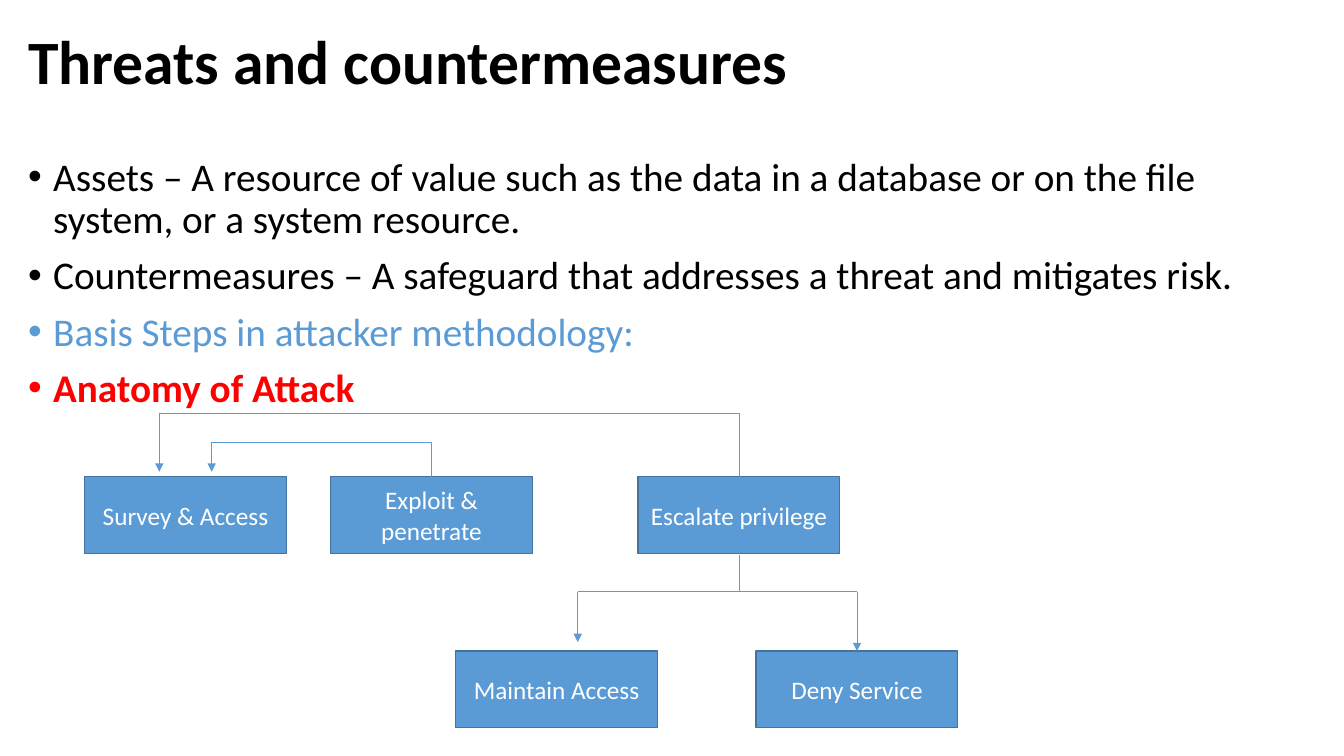
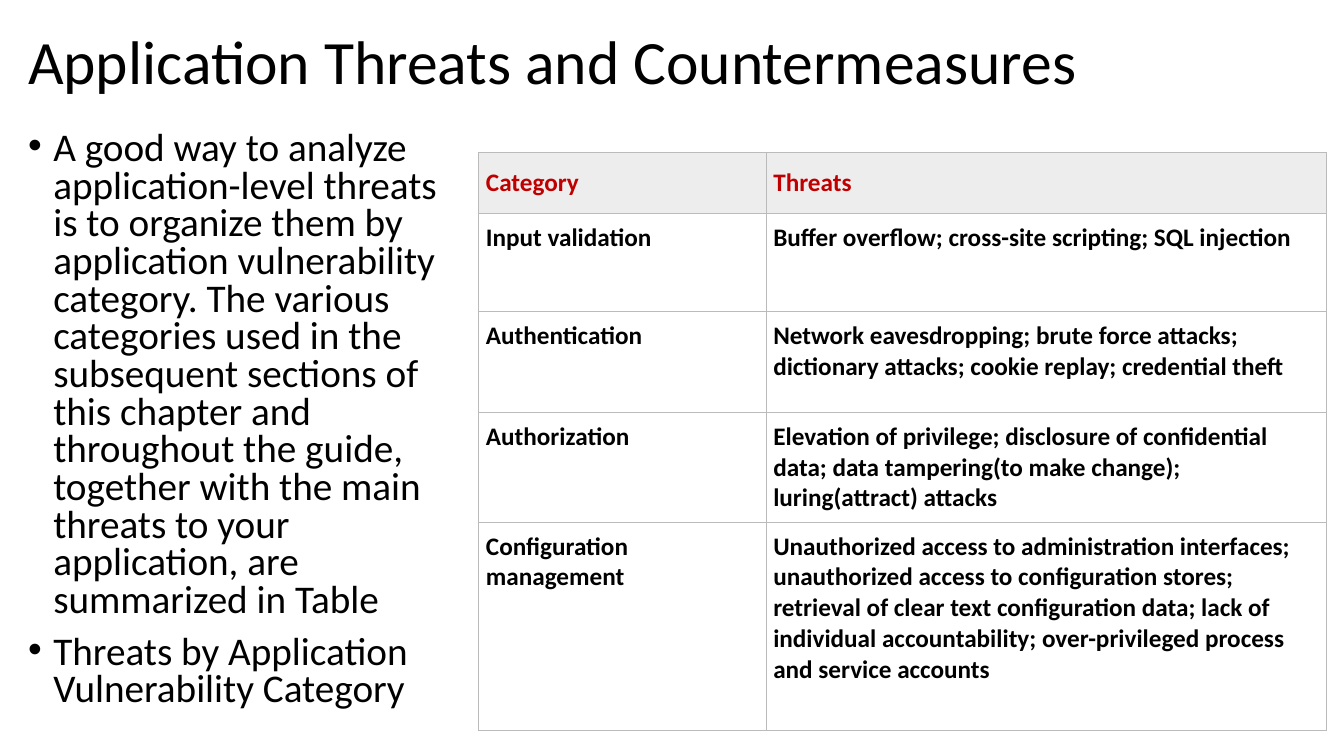
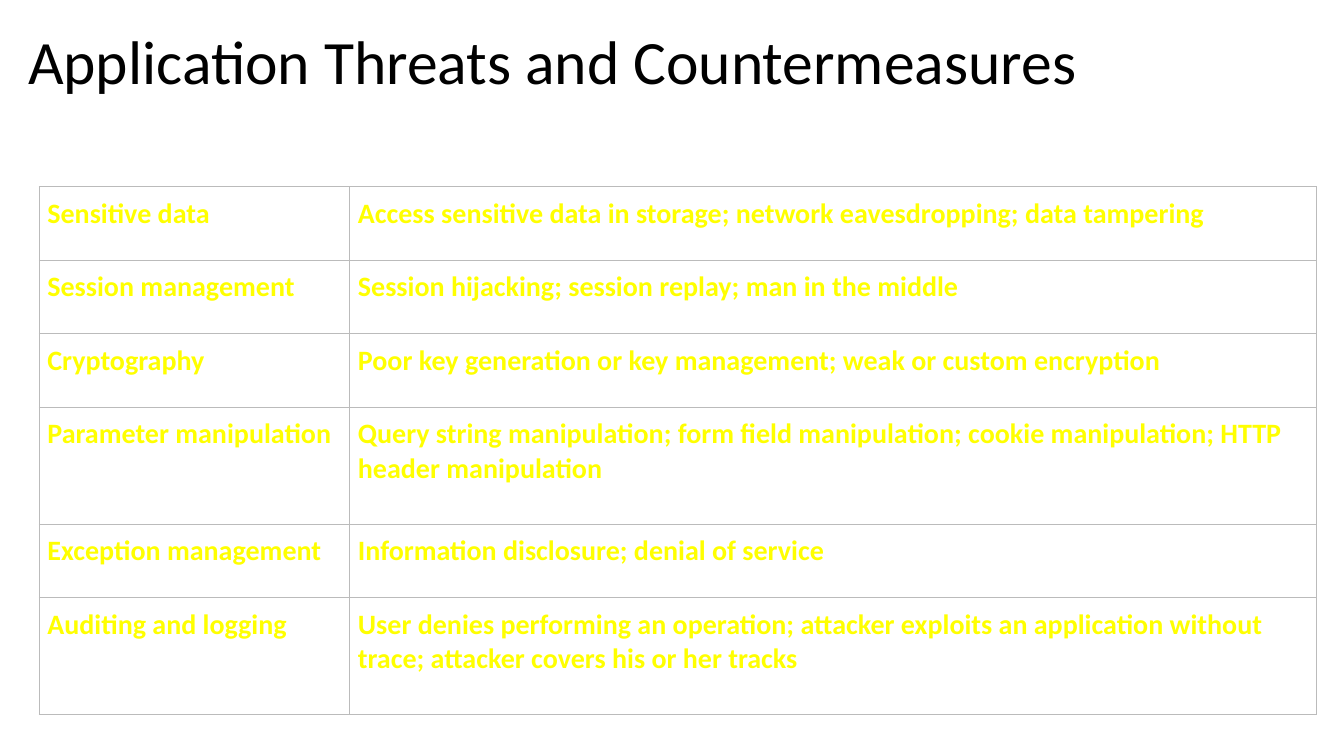
from lxml import etree
from pptx import Presentation
from pptx.dml.color import RGBColor
from pptx.enum.shapes import MSO_CONNECTOR, MSO_SHAPE
from pptx.enum.text import MSO_ANCHOR, PP_ALIGN
from pptx.oxml.ns import qn
from pptx.util import Inches, Pt

TOP, MIDDLE = MSO_ANCHOR.TOP, MSO_ANCHOR.MIDDLE
LEFT, CENTER = PP_ALIGN.LEFT, PP_ALIGN.CENTER
STRAIGHT, ELBOW = MSO_CONNECTOR.STRAIGHT, MSO_CONNECTOR.ELBOW
RECT = MSO_SHAPE.RECTANGLE

FONT = "Calibri"
BLACK = RGBColor(0x00, 0x00, 0x00)
WHITE = RGBColor(0xFF, 0xFF, 0xFF)
BLUE = RGBColor(0x5B, 0x9B, 0xD5)
DARK_BLUE = RGBColor(0x43, 0x73, 0x9E)
RED = RGBColor(0xFF, 0x00, 0x00)
DARK_RED = RGBColor(0xC0, 0x00, 0x00)
YELLOW = RGBColor(0xFF, 0xFF, 0x00)
PALE_GREY = RGBColor(0xED, 0xED, 0xED)
BORDER_GREY = RGBColor(0xBB, 0xBB, 0xBB)

# Content
ATTACK_TITLE = "Threats and countermeasures"
THREATS_TITLE = "Application Threats and Countermeasures"

ATTACK_POINTS = [
    ("Assets – A resource of value such as the data in a database or on the "
     "file system, or a system resource.", {}),
    ("Countermeasures – A safeguard that addresses a threat and mitigates "
     "risk.", {}),
    ("Basis Steps in attacker methodology:", {"color": BLUE}),
    ("Anatomy of Attack", {"color": RED, "bold": True}),
]
THREAT_POINTS = [
    ("A good way to analyze application-level threats is to organize them by "
     "application vulnerability category. The various categories used in the "
     "subsequent sections of this chapter and throughout the guide, together "
     "with the main threats to your application, are summarized in Table", {}),
    ("Threats by Application Vulnerability Category", {}),
]

BOX_W, BOX_H = 2, 0.76
STEP_TOP, RESULT_TOP = 4.73, 6.46
STEPS = [  # name, left, top
    ("Survey & Access", 0.84, STEP_TOP),
    ("Exploit & penetrate", 3.28, STEP_TOP),
    ("Escalate privilege", 6.33, STEP_TOP),
    ("Maintain Access", 4.52, RESULT_TOP),
    ("Deny Service", 7.5, RESULT_TOP),
]
RETURNS = [  # step it leaves, x and y of its far end
    ("Exploit & penetrate", 2.1, 4.39),
    ("Escalate privilege", 1.58, 4.1),
]
RETURN_TIP = 4.68
BRANCH_Y = 5.87
BRANCH_LINES = [  # start, end, arrowhead
    ((7.33, 5.51), (7.33, BRANCH_Y), False),
    ((5.73, BRANCH_Y), (8.5, BRANCH_Y), False),
    ((8.5, BRANCH_Y), (8.5, RESULT_TOP), True),
    ((5.73, BRANCH_Y), (5.73, 6.37), True),
]

CATEGORY_ROWS = [
    ("Category", "Threats"),
    ("Input validation",
     "Buffer overflow; cross-site scripting; SQL injection"),
    ("Authentication",
     "Network eavesdropping; brute force attacks; dictionary attacks; cookie "
     "replay; credential theft"),
    ("Authorization",
     "Elevation of privilege; disclosure of confidential data; data "
     "tampering(to make change); luring(attract) attacks"),
    ("Configuration management",
     "Unauthorized access to administration interfaces; unauthorized access "
     "to configuration stores; retrieval of clear text configuration data; "
     "lack of individual accountability; over-privileged process and service "
     "accounts"),
]
MORE_ROWS = [
    ("Sensitive data",
     "Access sensitive data in storage; network eavesdropping; data tampering"),
    ("Session management",
     "Session hijacking; session replay; man in the middle"),
    ("Cryptography",
     "Poor key generation or key management; weak or custom encryption"),
    ("Parameter manipulation",
     "Query string manipulation; form field manipulation; cookie "
     "manipulation; HTTP header manipulation"),
    ("Exception management", "Information disclosure; denial of service"),
    ("Auditing and logging",
     "User denies performing an operation; attacker exploits an application "
     "without trace; attacker covers his or her tracks"),
]


def write(p, text, size=18, color=BLACK, bold=False, align=LEFT, spacing=None):
    """Put one formatted run into a paragraph."""
    p.alignment = align
    if spacing:
        p.line_spacing = spacing
    r = p.add_run()
    r.text = text
    r.font.name = FONT
    r.font.size = Pt(size)
    r.font.bold = bold
    r.font.color.rgb = color


def add_frame(s, left, top, width, height, anchor):
    """Add a wrapping text box and return its text frame."""
    tf = s.shapes.add_textbox(*map(Inches, (left, top, width, height))).text_frame
    tf.word_wrap = True
    tf.vertical_anchor = anchor
    return tf


def add_slide(prs, title, bold=False):
    """Add a blank slide with the shared title."""
    s = prs.slides.add_slide(prs.slide_layouts[6])
    tf = add_frame(s, 0.18, 0.11, 12.87, 1.06, MIDDLE)
    write(tf.paragraphs[0], title, size=44, bold=bold, spacing=0.9)
    return s


def add_bullets(s, points, width, anchor=TOP, spacing=0.9):
    """Add the bulleted body text and return its text frame."""
    tf = add_frame(s, 0.18, 1.51, width, 5.85, anchor)
    for i, (text, style) in enumerate(points):
        p = tf.add_paragraph() if i else tf.paragraphs[0]
        write(p, text, size=28, spacing=spacing, **style)
        p.space_before = Pt(10)
        pPr = p._p.get_or_add_pPr()
        pPr.set("marL", str(Inches(0.25)))
        pPr.set("indent", str(-Inches(0.25)))
        etree.SubElement(pPr, qn("a:buFont")).set("typeface", "Arial")
        etree.SubElement(pPr, qn("a:buChar")).set("char", "•")
    return tf


def add_step(s, name, left, top):
    """Add one box of the attack diagram."""
    sp = s.shapes.add_shape(RECT, *map(Inches, (left, top, BOX_W, BOX_H)))
    sp.shadow.inherit = False
    sp.fill.solid()
    sp.fill.fore_color.rgb = BLUE
    sp.line.color.rgb = DARK_BLUE
    sp.line.width = Pt(1)
    tf = sp.text_frame
    tf.word_wrap = True
    tf.vertical_anchor = MIDDLE
    write(tf.paragraphs[0], name, color=WHITE, align=CENTER)
    return sp


def add_line(s, start, end, arrow=False, kind=STRAIGHT):
    """Add a thin blue connector, with an arrowhead at its end if asked."""
    c = s.shapes.add_connector(kind, *map(Inches, start + end))
    c.line.color.rgb = BLUE
    c.line.width = Pt(0.5)
    if arrow:
        ln = c.line._get_or_add_ln()
        etree.SubElement(ln, qn("a:tailEnd")).set("type", "triangle")
    etree.SubElement(c._element.spPr, qn("a:effectLst"))
    return c


def add_return(s, box, left, x, y):
    """Lead a one-corner connector up from a box and left to a point."""
    start_x = left + BOX_W / 2
    c = add_line(s, (start_x, STEP_TOP), (x, y), kind=ELBOW)
    c.begin_connect(box, 0)
    # The frame is stored before its quarter turn, so its sides swap.
    width, height = STEP_TOP - y, start_x - x
    c.left = Inches((start_x + x - width) / 2)
    c.top = Inches((STEP_TOP + y - height) / 2)
    c.width, c.height = Inches(width), Inches(height)
    spPr = c._element.spPr
    xfrm = spPr.find(qn("a:xfrm"))
    for key, value in (("rot", "16200000"), ("flipH", "0"), ("flipV", "1")):
        xfrm.set(key, value)
    spPr.find(qn("a:prstGeom")).set("prst", "bentConnector2")


def add_borders(cell):
    """Draw a thin grey line on each side of a cell."""
    tcPr = cell._tc.get_or_add_tcPr()
    for side in ("a:lnL", "a:lnR", "a:lnT", "a:lnB"):
        ln = etree.SubElement(tcPr, qn(side))
        ln.set("w", str(Pt(0.75)))
        fill = etree.SubElement(ln, qn("a:solidFill"))
        etree.SubElement(fill, qn("a:srgbClr")).set("val", str(BORDER_GREY))


def add_grid(s, rows, left, top, widths, heights, margins, size, color,
             header=False):
    """Add a bordered table of bold text."""
    frame = s.shapes.add_table(
        len(rows), len(widths),
        *map(Inches, (left, top, sum(widths), sum(heights))))
    table = frame.table
    table.first_row = header
    table.horz_banding = False
    for column, width in zip(table.columns, widths):
        column.width = Inches(width)
    side, edge = map(Inches, margins)
    for i, (texts, height) in enumerate(zip(rows, heights)):
        table.rows[i].height = Inches(height)
        is_header = header and i == 0
        for j, text in enumerate(texts):
            cell = table.cell(i, j)
            cell.margin_left = cell.margin_right = side
            cell.margin_top = cell.margin_bottom = edge
            cell.vertical_anchor = MIDDLE if is_header else TOP
            add_borders(cell)
            if is_header:
                cell.fill.solid()
                cell.fill.fore_color.rgb = PALE_GREY
            else:
                cell.fill.background()
            write(cell.text_frame.paragraphs[0], text, size=size, bold=True,
                  color=DARK_RED if is_header else color)


def attack_slide(prs):
    """Build the slide with the anatomy of an attack."""
    s = add_slide(prs, ATTACK_TITLE, bold=True)
    add_bullets(s, ATTACK_POINTS, 12.87)
    boxes = {name: (add_step(s, name, left, top), left)
             for name, left, top in STEPS}
    for name, x, y in RETURNS:
        add_return(s, *boxes[name], x, y)
        add_line(s, (x, y), (x, RETURN_TIP), arrow=True)
    for start, end, arrow in BRANCH_LINES:
        add_line(s, start, end, arrow)


def category_slide(prs):
    """Build the slide with bullets beside the category table."""
    s = add_slide(prs, THREATS_TITLE)
    tf = add_bullets(s, THREAT_POINTS, 4.45, anchor=MIDDLE, spacing=0.8)
    tf.margin_bottom = Inches(0.57)
    add_grid(s, CATEGORY_ROWS, 4.75, 1.51, (2.85, 5.56),
             (0.61, 0.97, 1, 1.09, 2.07), (0.07, 0.09), 18, BLACK, header=True)


def more_threats_slide(prs):
    """Build the slide with the remaining categories."""
    s = add_slide(prs, THREATS_TITLE)
    add_grid(s, MORE_ROWS, 0.39, 1.85, (3.08, 9.59),
             (0.73, 0.73, 0.73, 1.16, 0.73, 1.16), (0.08, 0.1), 20, YELLOW)


prs = Presentation()
prs.slide_width, prs.slide_height = Inches(13.33), Inches(7.5)
attack_slide(prs)
category_slide(prs)
more_threats_slide(prs)
prs.save("out.pptx")
